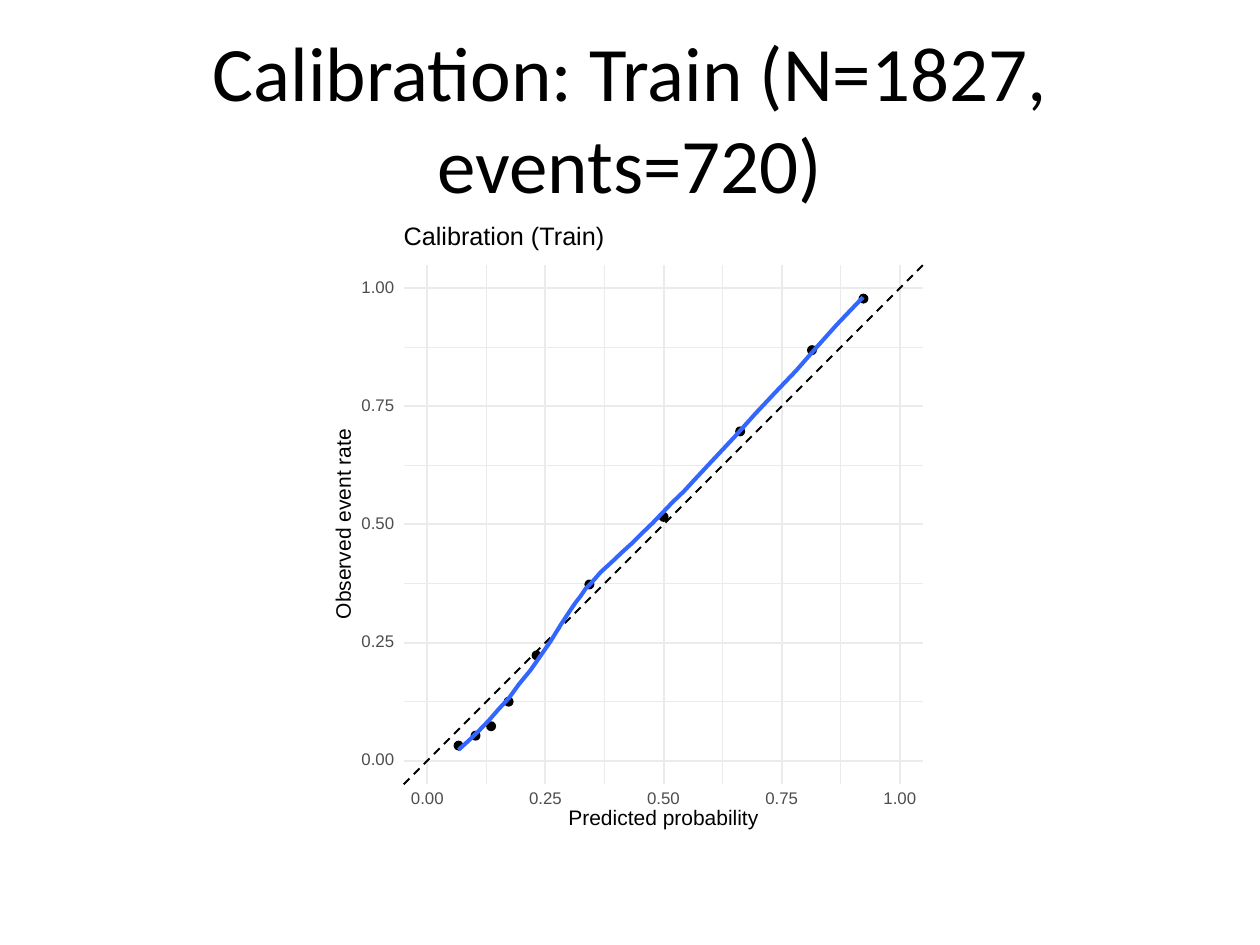
from dataclasses import dataclass

from lxml.etree import SubElement
from pptx import Presentation
from pptx.dml.color import RGBColor
from pptx.enum.dml import MSO_LINE
from pptx.enum.shapes import MSO_CONNECTOR, MSO_SHAPE
from pptx.enum.text import MSO_ANCHOR, PP_ALIGN
from pptx.oxml.ns import qn
from pptx.util import Pt


@dataclass(frozen=True)
class Theme:
    black: RGBColor = RGBColor(0, 0, 0)
    white: RGBColor = RGBColor(0xFF, 0xFF, 0xFF)
    grid: RGBColor = RGBColor(0xEB, 0xEB, 0xEB)
    tick: RGBColor = RGBColor(0x4D, 0x4D, 0x4D)
    curve: RGBColor = RGBColor(0x33, 0x66, 0xFF)
    heading_font: str = "Calibri"
    plot_font: str = "Arial"
    heading_size: float = 44
    plot_title_size: float = 14.4
    axis_size: float = 12
    tick_size: float = 9.6


THEME = Theme()

# Plot scale: page position of the data origin and length of 100 percent.
ORIGIN_X, ORIGIN_Y, SCALE = 244.2, 434.7, 270
AXIS_MIN, AXIS_MAX = -5, 105
MAJOR_TICKS = (0, 25, 50, 75, 100)
MINOR_TICKS = (12.5, 37.5, 62.5, 87.5)

# Predicted probability and observed event rate, both in percent.
RISK_GROUPS = [
    (6.6, 3.2), (10.2, 5.3), (13.5, 7.3), (17.2, 12.5), (23.1, 22.3),
    (34.3, 37.3), (50, 51.6), (66.2, 69.7), (81.4, 86.9), (92.3, 97.8),
]
SMOOTHED_RATE = [
    (6.6, 2.3), (8.7, 4.2), (10.9, 6.3), (13, 8.5), (15.1, 10.9),
    (17.3, 13.3), (19.4, 16.2), (21.8, 19.1), (23.9, 22.1), (26.1, 25.3),
    (28.2, 28.7), (30.3, 31.9), (31.4, 33.5), (32.5, 34.9), (33.5, 36.4),
    (34.6, 37.5), (36.7, 39.9), (39.1, 42.1), (41.3, 44.2), (43.4, 46.1),
    (45.5, 48.2), (47.7, 50.3), (49.8, 52.5), (51.9, 54.7), (54.3, 57),
    (56.5, 59.4), (60.7, 63.9), (65, 68.5), (69.3, 73.3), (73.8, 78.1),
    (78.1, 82.6), (82.3, 87.4), (86.6, 92.2), (92.2, 98.1),
]


def to_page(predicted, observed):
    """Turn a pair of percentages into a position in points."""
    return ORIGIN_X + predicted * SCALE / 100, ORIGIN_Y - observed * SCALE / 100


def add_text(shapes, text, left, top, width, height, size, color, font=THEME.plot_font):
    box = shapes.add_textbox(Pt(left), Pt(top), Pt(width), Pt(height))
    frame = box.text_frame
    frame.vertical_anchor = MSO_ANCHOR.MIDDLE
    para = frame.paragraphs[0]
    span = para.add_run()
    span.text = text
    span.font.size = Pt(size)
    span.font.name = font
    span.font.color.rgb = color
    return box


def add_label(shapes, text, left, top, width, height, size, color=THEME.black):
    """Add a tight one-line text without margins."""
    box = add_text(shapes, text, left, top, width, height, size, color)
    frame = box.text_frame
    frame.word_wrap = False
    frame.margin_left = frame.margin_right = frame.margin_top = frame.margin_bottom = 0
    frame.paragraphs[0].line_spacing = Pt(size)
    return box


def add_heading(page, text):
    box = add_text(page.shapes, text, 36, 21.6, 648, 90,
                   THEME.heading_size, THEME.black, THEME.heading_font)
    box.text_frame.word_wrap = True
    box.text_frame.paragraphs[0].alignment = PP_ALIGN.CENTER


def add_filled(shapes, kind, left, top, width, height, color, line_width=None):
    shape = shapes.add_shape(kind, Pt(left), Pt(top), Pt(width), Pt(height))
    shape.shadow.inherit = False
    shape.fill.solid()
    shape.fill.fore_color.rgb = color
    if line_width is None:
        shape.line.fill.background()
    else:
        shape.line.color.rgb = color
        shape.line.width = Pt(line_width)


def add_line(shapes, start, end, color, width, dash=None):
    """Draw a straight line between two data points."""
    ends = [Pt(value) for value in to_page(*start) + to_page(*end)]
    line = shapes.add_connector(MSO_CONNECTOR.STRAIGHT, *ends)
    line.line.color.rgb = color
    line.line.width = Pt(width)
    if dash is not None:
        line.line.dash_style = dash
    SubElement(line._element.spPr, qn("a:effectLst"))


def add_grid(shapes):
    for ticks, width in ((MINOR_TICKS, 0.58), (MAJOR_TICKS, 1.16)):
        for tick in ticks:
            add_line(shapes, (AXIS_MIN, tick), (AXIS_MAX, tick), THEME.grid, width)
        for tick in ticks:
            add_line(shapes, (tick, AXIS_MIN), (tick, AXIS_MAX), THEME.grid, width)


def add_risk_groups(shapes):
    diameter = 4.9
    for group in RISK_GROUPS:
        x, y = to_page(*group)
        add_filled(shapes, MSO_SHAPE.OVAL, x - diameter / 2, y - diameter / 2,
                   diameter, diameter, THEME.black, 0.77)


def add_curve(shapes):
    points = [tuple(Pt(value) for value in to_page(*pair)) for pair in SMOOTHED_RATE]
    builder = shapes.build_freeform(*points[0])
    builder.add_line_segments(points[1:], close=False)
    curve = builder.convert_to_shape()
    curve.shadow.inherit = False
    curve.fill.background()
    curve.line.color.rgb = THEME.curve
    curve.line.width = Pt(2.33)


def add_tick_labels(shapes):
    width, height = 18.7, 7
    for tick in MAJOR_TICKS:
        x, y = to_page(tick, tick)
        text = f"{tick / 100:.2f}"
        for left, top in ((206.6, y - height / 2), (x - width / 2, 453.5)):
            add_label(shapes, text, left, top, width, height, THEME.tick_size, THEME.tick)


def add_calibration_plot(page):
    shapes = page.shapes.add_group_shape().shapes
    add_filled(shapes, MSO_SHAPE.RECTANGLE, 36, 126, 648, 356.4, THEME.white, 0.75)
    add_filled(shapes, MSO_SHAPE.RECTANGLE, 186.5, 126, 347, 356.4, THEME.white)
    add_grid(shapes)
    add_line(shapes, (AXIS_MIN, AXIS_MIN), (AXIS_MAX, AXIS_MAX),
             THEME.black, 1.16, MSO_LINE.DASH)
    add_risk_groups(shapes)
    add_curve(shapes)
    add_tick_labels(shapes)
    add_label(shapes, "Predicted probability", 324.8, 463, 108.7, 10.8, THEME.axis_size)
    observed = add_label(shapes, "Observed event rate", 142.6, 295.2, 108.7, 8.6,
                         THEME.axis_size)
    observed.rotation = 270
    add_label(shapes, "Calibration (Train)", 230.7, 128.9, 115.2, 13.7,
              THEME.plot_title_size)


def main():
    deck = Presentation()
    deck.slide_width, deck.slide_height = Pt(720), Pt(540)
    page = deck.slides.add_slide(deck.slide_layouts[6])
    add_heading(page, "Calibration: Train (N=1827, events=720)")
    add_calibration_plot(page)
    deck.save("out.pptx")


if __name__ == "__main__":
    main()
